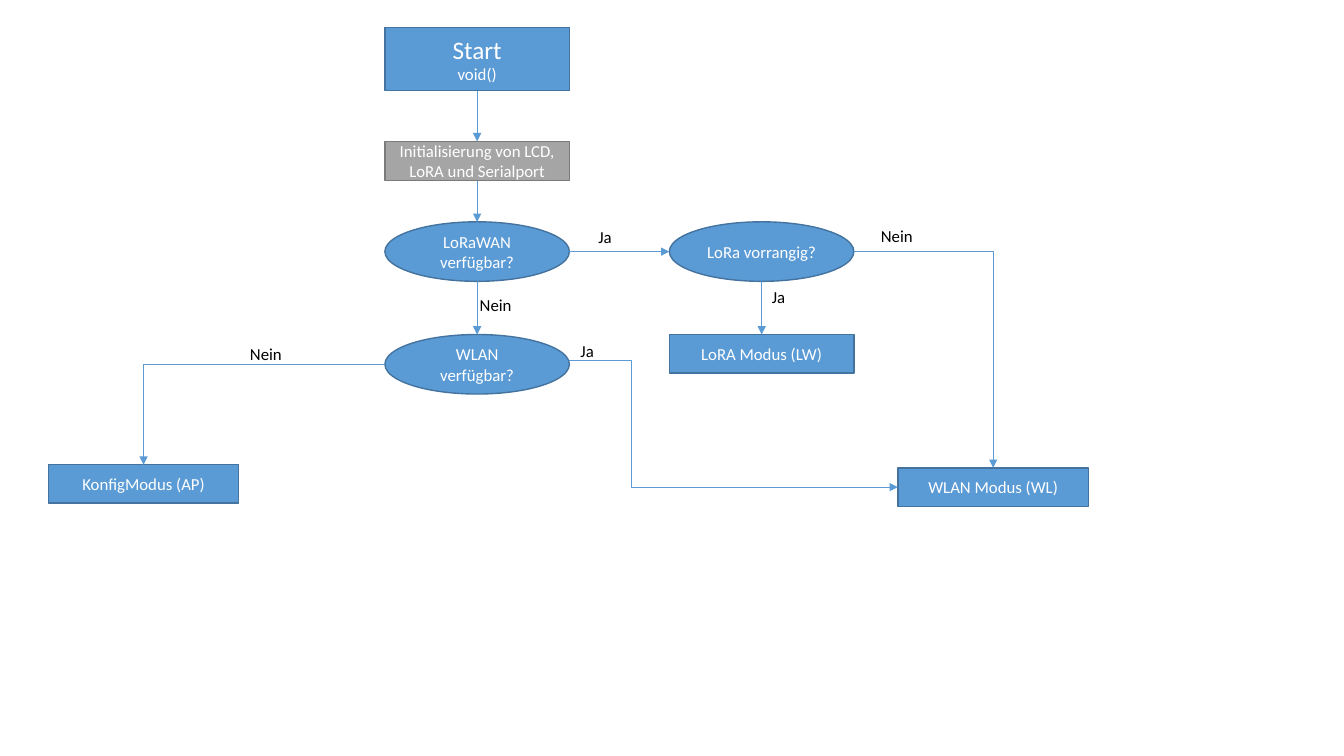
from lxml import etree
from pptx import Presentation
from pptx.dml.color import RGBColor
from pptx.enum.shapes import MSO_CONNECTOR, MSO_SHAPE
from pptx.enum.text import MSO_ANCHOR, PP_ALIGN
from pptx.oxml.ns import qn
from pptx.util import Cm, Pt

RECT, OVAL = MSO_SHAPE.RECTANGLE, MSO_SHAPE.OVAL
STRAIGHT, ELBOW = MSO_CONNECTOR.STRAIGHT, MSO_CONNECTOR.ELBOW
MIDDLE, CENTER = MSO_ANCHOR.MIDDLE, PP_ALIGN.CENTER
COLORS = {
    "blue": "5B9BD5", "blue_edge": "43739E",
    "gray": "A5A5A5", "gray_edge": "7A7A7A",
    "white": "FFFFFF", "black": "000000",
}
BODY_SIZE, START_SIZE = 12, 18

# Flowchart grid in cm
MAIN_X, LORA_X = 9.7, 16.87
QUESTION_Y, SECOND_Y = 5.59, 8.43
STEP_W, MODE_W = 4.65, 4.8
OVAL_H, MODE_H = 1.5, 0.97

# key: (preset, left, top, width, height, colour, lines of (text, size))
NODES = {
    "start": (RECT, MAIN_X, 0.69, STEP_W, 1.6, "blue",
              [("Start", START_SIZE), ("void()", BODY_SIZE)]),
    "init": (RECT, MAIN_X, 3.56, STEP_W, 0.99, "gray",
             [("Initialisierung von LCD, LoRA und Serialport", BODY_SIZE)]),
    "lorawan": (OVAL, MAIN_X, QUESTION_Y, STEP_W, OVAL_H, "blue",
                [("LoRaWAN verfügbar?", BODY_SIZE)]),
    "wlan": (OVAL, MAIN_X, SECOND_Y, STEP_W, OVAL_H, "blue",
             [("WLAN verfügbar?", BODY_SIZE)]),
    "priority": (OVAL, LORA_X, QUESTION_Y, STEP_W, OVAL_H, "blue",
                 [("LoRa vorrangig?", BODY_SIZE)]),
    "lora_mode": (RECT, LORA_X, SECOND_Y, STEP_W, MODE_H, "blue",
                  [("LoRA Modus (LW)", BODY_SIZE)]),
    "config_mode": (RECT, 1.22, 11.71, MODE_W, MODE_H, "blue",
                    [("KonfigModus (AP)", BODY_SIZE)]),
    "wlan_mode": (RECT, 22.63, 11.79, MODE_W, MODE_H, "blue",
                  [("WLAN Modus (WL)", BODY_SIZE)]),
}

# (from node, side, to node, side, preset or None for a straight arrow)
ARROWS = [
    ("start", "bottom", "init", "top", None),
    ("init", "bottom", "lorawan", "top", None),
    ("lorawan", "bottom", "wlan", "top", None),
    ("lorawan", "right", "priority", "left", None),
    ("priority", "bottom", "lora_mode", "top", None),
    ("priority", "right", "wlan_mode", "top", "bentConnector2"),
    ("wlan", "left", "config_mode", "top", "bentConnector2"),
    ("wlan", "right", "wlan_mode", "left", "bentConnector3"),
]
WLAN_BEND = 18900  # bend position in thousandths of a percent
WLAN_EXIT_RISE = 0.09  # the WLAN "Ja" arrow leaves just above the middle

# (answer, left, top, width)
ANSWERS = [
    ("Nein", 11.84, 7.29, 1.35),
    ("Nein", 21.95, 5.56, 2.87),
    ("Ja", 19.2, 7.09, 2.87),
    ("Ja", 14.83, 5.59, 2.87),
    ("Nein", 6.05, 8.53, 2.87),
    ("Ja", 14.38, 8.46, 2.87),
]
ANSWER_H = 0.76


def add_run(paragraph, text, size, color):
    run = paragraph.add_run()
    run.text = text
    for attribute, value in {"name": "Calibri", "size": Pt(size)}.items():
        setattr(run.font, attribute, value)
    run.font.color.rgb = RGBColor.from_string(COLORS[color])


def draw_nodes(slide, box):
    """Steps, questions and modes of the flowchart."""
    for preset, x, y, width, height, color, lines in NODES.values():
        node = slide.shapes.add_shape(
            preset, box[0] + Cm(x), box[1] + Cm(y), Cm(width), Cm(height))
        node.shadow.inherit = False
        node.fill.solid()
        node.fill.fore_color.rgb = RGBColor.from_string(COLORS[color])
        node.line.color.rgb = RGBColor.from_string(COLORS[color + "_edge"])
        node.line.width = Pt(1)
        for attribute, value in {"word_wrap": True, "vertical_anchor": MIDDLE}.items():
            setattr(node.text_frame, attribute, value)
        paragraph = node.text_frame.paragraphs[0]
        paragraph.alignment = CENTER
        for number, (text, size) in enumerate(lines):
            if number:
                paragraph.add_line_break()
            add_run(paragraph, text, size, "white")


def side_point(key, side):
    """Middle of one side of a node, in cm."""
    x, y, width, height = NODES[key][1:5]
    across, down = {"top": (0.5, 0), "bottom": (0.5, 1),
                    "left": (0, 0.5), "right": (1, 0.5)}[side]
    return x + width * across, y + height * down


def draw_arrows(slide, box):
    """Arrows between the nodes."""
    for source, exit_side, target, entry_side, bend in ARROWS:
        x1, y1 = side_point(source, exit_side)
        x2, y2 = side_point(target, entry_side)
        if bend == "bentConnector3":
            y1 -= WLAN_EXIT_RISE
        arrow = slide.shapes.add_connector(
            ELBOW if bend else STRAIGHT, box[0] + Cm(x1), box[1] + Cm(y1),
            box[0] + Cm(x2), box[1] + Cm(y2))
        arrow.line.color.rgb = RGBColor.from_string(COLORS["blue"])
        arrow.line.width = Pt(0.5)
        etree.SubElement(arrow.line._get_or_add_ln(), qn("a:tailEnd"), type="triangle")
        properties = arrow._element.spPr
        etree.SubElement(properties, qn("a:effectLst"))
        if bend:
            geometry = properties.find(qn("a:prstGeom"))
            geometry.set("prst", bend)
            if bend == "bentConnector3":
                etree.SubElement(geometry.find(qn("a:avLst")), qn("a:gd"),
                                 name="adj1", fmla=f"val {WLAN_BEND}")


def draw_answers(slide, box):
    """Yes and no labels beside the arrows."""
    for text, x, y, width in ANSWERS:
        answer = slide.shapes.add_textbox(
            box[0] + Cm(x), box[1] + Cm(y), Cm(width), Cm(ANSWER_H))
        answer.text_frame.word_wrap = True
        add_run(answer.text_frame.paragraphs[0], text, BODY_SIZE, "black")


presentation = Presentation()
presentation.slide_width, presentation.slide_height = Cm(33.87), Cm(19.05)
slide = presentation.slides.add_slide(presentation.slide_layouts[6])
flowchart_box = (Cm(0), Cm(0))
for draw in (draw_nodes, draw_arrows, draw_answers):
    draw(slide, flowchart_box)
presentation.save("out.pptx")
